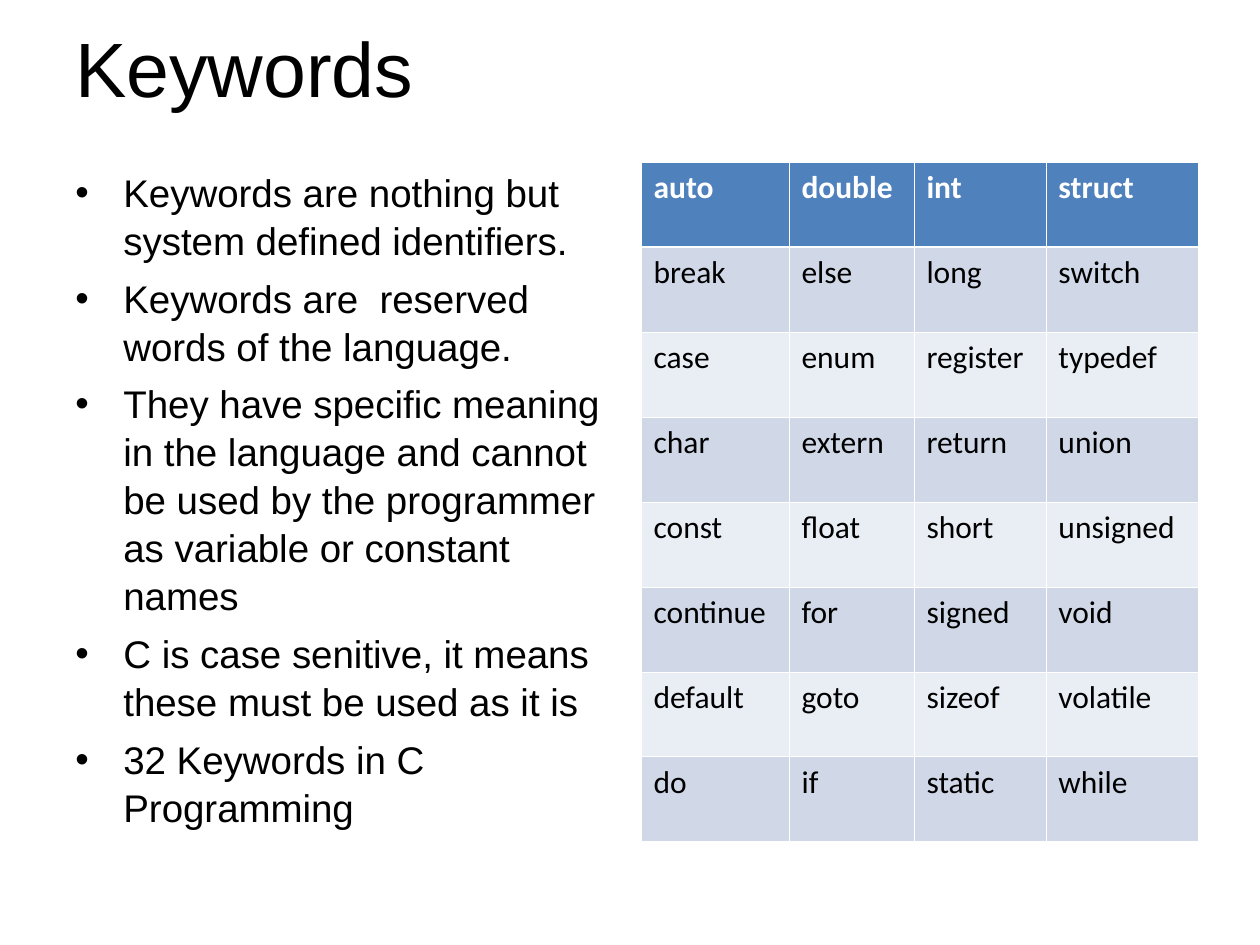
from lxml.etree import SubElement
from pptx import Presentation
from pptx.dml.color import RGBColor
from pptx.enum.text import MSO_ANCHOR
from pptx.oxml.ns import qn
from pptx.util import Emu, Pt

PX = 914400 / 126

TITLE = {"name": "Arial", "size": Pt(44), "color": "000000"}
BODY = {"name": "Arial", "size": Pt(22), "color": "000000"}
HEADER = {"name": "Calibri", "size": Pt(18), "color": "FFFFFF", "bold": True}
CELL = {"name": "Calibri", "size": Pt(18), "color": "000000", "bold": False}

POINTS = [
    "Keywords are nothing but system defined identifiers.",
    "Keywords are  reserved words of the language.",
    "They have specific meaning in the language and cannot be used by the "
    "programmer as variable or constant names",
    "C is case senitive, it means these must be used as it is",
    "32 Keywords in C Programming",
]
KEYWORDS = [
    ["auto", "double", "int", "struct"],
    ["break", "else", "long", "switch"],
    ["case", "enum", "register", "typedef"],
    ["char", "extern", "return", "union"],
    ["const", "float", "short", "unsigned"],
    ["continue", "for", "signed", "void"],
    ["default", "goto", "sizeof", "volatile"],
    ["do", "if", "static", "while"],
]
COLUMN_WIDTHS = [148, 125, 132, 152]
ROW_HEIGHT = 85


def px(*lengths):
    return [Emu(round(length * PX)) for length in lengths]


def write(paragraph, text, style):
    run = paragraph.add_run()
    run.text = text
    for key, value in style.items():
        if key == "color":
            run.font.color.rgb = RGBColor.from_string(value)
        else:
            setattr(run.font, key, value)


presentation = Presentation()
presentation.slide_width, presentation.slide_height = px(1260, 945)
slide = presentation.slides.add_slide(presentation.slide_layouts[6])

title = slide.shapes.add_textbox(*px(63, 26, 1134, 81)).text_frame
title.word_wrap = True
title.vertical_anchor = MSO_ANCHOR.MIDDLE
write(title.paragraphs[0], "Keywords", TITLE)

body = slide.shapes.add_textbox(*px(63, 161, 557, 683)).text_frame
body.word_wrap = True
indent, = px(48)
for index, point in enumerate(POINTS):
    paragraph = body.add_paragraph() if index else body.paragraphs[0]
    paragraph.space_before = Pt(5.5)
    paragraph.line_spacing = 1.04
    write(paragraph, point, BODY)
    properties = paragraph._p.get_or_add_pPr()
    properties.set("marL", str(indent))
    properties.set("indent", str(-indent))
    SubElement(properties, qn("a:buFont"), typeface="Arial")
    SubElement(properties, qn("a:buChar"), char="•")

rows, columns = len(KEYWORDS), len(COLUMN_WIDTHS)
table = slide.shapes.add_table(
    rows, columns, *px(641, 162, sum(COLUMN_WIDTHS), rows * ROW_HEIGHT)
).table
for column, width in zip(table.columns, px(*COLUMN_WIDTHS)):
    column.width = width
for row_index, words in enumerate(KEYWORDS):
    table.rows[row_index].height, = px(ROW_HEIGHT)
    if row_index == 0:
        fill, style = "4F81BD", HEADER
    else:
        fill, style = ("D0D8E8" if row_index % 2 else "E9EDF4"), CELL
    for column_index, word in enumerate(words):
        cell = table.cell(row_index, column_index)
        paragraph = cell.text_frame.paragraphs[0]
        paragraph.space_before = Pt(4.5)
        write(paragraph, word, style)
        properties = cell._tc.get_or_add_tcPr()
        for side in ("lnL", "lnR", "lnT", "lnB"):
            # The rule under the header row is heavier than the others.
            heavy = (row_index, side) in ((0, "lnB"), (1, "lnT"))
            width = Pt(1.5 if heavy else 0.45)
            line = SubElement(properties, qn(f"a:{side}"), w=str(width))
            SubElement(SubElement(line, qn("a:solidFill")), qn("a:srgbClr"), val="FFFFFF")
        cell.fill.solid()
        cell.fill.fore_color.rgb = RGBColor.from_string(fill)

presentation.save("out.pptx")
